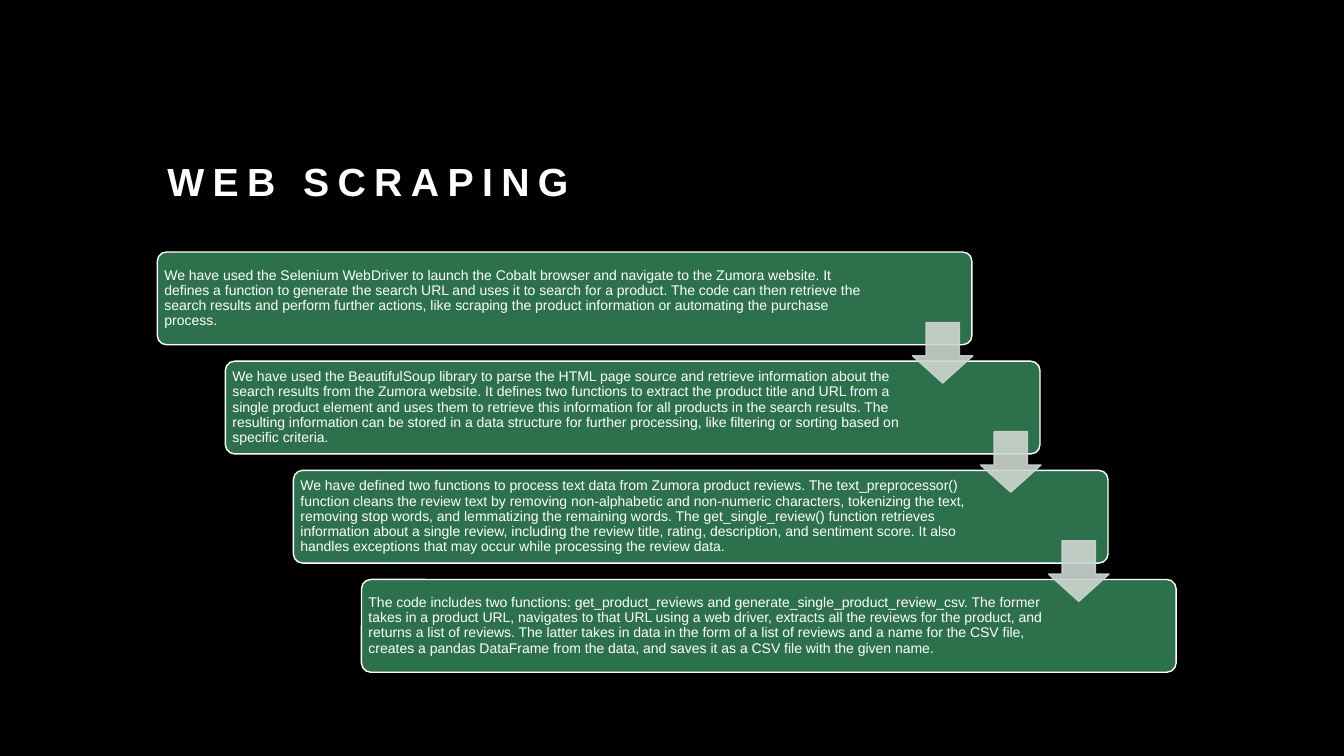
from dataclasses import dataclass

import lxml.etree
import pptx
import pptx.dml.color
import pptx.enum.shapes
import pptx.enum.text
import pptx.oxml.ns
import pptx.util

COLOURS = {"ground": "000000", "card": "2D714C", "arrow": "CDD5D0", "text": "FFFFFF"}
FONT = "Arial"
SLIDE_WIDTH, SLIDE_HEIGHT = 13.33, 7.5

# Staircase grid, in inches
LEFT, TOP = 1.56, 2.5
COLUMN, ROW = 0.675, 1.083
CARD_WIDTH, CARD_HEIGHT = 8.08, 0.92
TEXT_INSET = 0.03
ARROW_SIZE = 0.6
ARROW_LEFT, ARROW_TOP = 7.49, 0.7  # measured from the card's corner


@dataclass(frozen=True)
class Step:
    text: str
    text_width: float = 6.76


STEPS = [
    Step(
        "We have used the Selenium WebDriver to launch the Cobalt browser and navigate to "
        "the Zumora website. It defines a function to generate the search URL and uses it to "
        "search for a product. The code can then retrieve the search results and perform "
        "further actions, like scraping the product information or automating the purchase "
        "process.",
        7.02,
    ),
    Step(
        "We have used the BeautifulSoup library to parse the HTML page source and retrieve "
        "information about the search results from the Zumora website. It defines two "
        "functions to extract the product title and URL from a single product element and "
        "uses them to retrieve this information for all products in the search results. The "
        "resulting information can be stored in a data structure for further processing, "
        "like filtering or sorting based on specific criteria."
    ),
    Step(
        "We have defined two functions to process text data from Zumora product reviews. The "
        "text_preprocessor() function cleans the review text by removing non-alphabetic and "
        "non-numeric characters, tokenizing the text, removing stop words, and lemmatizing "
        "the remaining words. The get_single_review() function retrieves information about a "
        "single review, including the review title, rating, description, and sentiment "
        "score. It also handles exceptions that may occur while processing the review data."
    ),
    Step(
        "The code includes two functions: get_product_reviews and "
        "generate_single_product_review_csv. The former takes in a product URL, navigates to "
        "that URL using a web driver, extracts all the reviews for the product, and returns "
        "a list of reviews. The latter takes in data in the form of a list of reviews and a "
        "name for the CSV file, creates a pandas DataFrame from the data, and saves it as a "
        "CSV file with the given name."
    ),
]


def colour(name: str) -> pptx.dml.color.RGBColor:
    return pptx.dml.color.RGBColor.from_string(COLOURS[name])


def inches(*lengths: float) -> list[pptx.util.Length]:
    return [pptx.util.Inches(length) for length in lengths]


def format_text(frame, size: float, line_spacing: float, bold: bool = False) -> None:
    frame.word_wrap = True
    frame.auto_size = pptx.enum.text.MSO_AUTO_SIZE.NONE
    para = frame.paragraphs[0]
    para.alignment = pptx.enum.text.PP_ALIGN.LEFT
    para.line_spacing = line_spacing
    font = para.runs[0].font
    font.name, font.size, font.bold = FONT, pptx.util.Pt(size), bold
    font.color.rgb = colour("text")


def add_title(page, text: str) -> None:
    title = page.shapes.title
    title.left, title.top, title.width, title.height = inches(LEFT, 1.14, 10.1, 0.94)
    title.text_frame.text = text
    title.text_frame.vertical_anchor = pptx.enum.text.MSO_ANCHOR.BOTTOM
    format_text(title.text_frame, 28, 1.2, bold=True)
    span = title.text_frame.paragraphs[0].runs[0]
    span.font._element.set("spc", "600")


def add_block(page, kind, place: tuple, fill: str, line: str, adjustments: list[float]):
    block = page.shapes.add_shape(kind, *inches(*place))
    block.shadow.inherit = False
    block.fill.solid()
    block.fill.fore_color.rgb = colour(fill)
    block.line.color.rgb = colour(line)
    block.line.width = pptx.util.Pt(1)
    for index, value in enumerate(adjustments):
        block.adjustments[index] = value
    return block


def add_step(page, step: Step, left: float, top: float) -> None:
    add_block(
        page, pptx.enum.shapes.MSO_SHAPE.ROUNDED_RECTANGLE,
        (left, top, CARD_WIDTH, CARD_HEIGHT), "card", "text", [0.1],
    )
    box = page.shapes.add_textbox(*inches(
        left + TEXT_INSET, top + TEXT_INSET, step.text_width, CARD_HEIGHT - 2 * TEXT_INSET
    ))
    frame = box.text_frame
    frame.text = step.text
    frame.vertical_anchor = pptx.enum.text.MSO_ANCHOR.MIDDLE
    frame.margin_left = frame.margin_right = pptx.util.Inches(0.04)
    frame.margin_top = frame.margin_bottom = pptx.util.Inches(0.04)
    format_text(frame, 10, 0.9)


def add_arrow(page, left: float, top: float) -> None:
    arrow = add_block(
        page, pptx.enum.shapes.MSO_SHAPE.DOWN_ARROW,
        (left, top, ARROW_SIZE, ARROW_SIZE), "arrow", "arrow", [0.55, 0.45],
    )
    # Fill and line are both 90% opaque
    for tint in arrow._element.spPr.iter(pptx.oxml.ns.qn("a:srgbClr")):
        lxml.etree.SubElement(tint, pptx.oxml.ns.qn("a:alpha"), val="90000")


def main() -> None:
    deck = pptx.Presentation()
    deck.slide_width, deck.slide_height = inches(SLIDE_WIDTH, SLIDE_HEIGHT)
    page = deck.slides.add_slide(deck.slide_layouts.get_by_name("Title Only"))
    page.background.fill.solid()
    page.background.fill.fore_color.rgb = colour("ground")

    add_title(page, "WEB SCRAPING")
    corners = [(LEFT + i * COLUMN, TOP + i * ROW) for i in range(len(STEPS))]
    for step, (left, top) in zip(STEPS, corners):
        add_step(page, step, left, top)
    for left, top in corners[:-1]:
        add_arrow(page, left + ARROW_LEFT, top + ARROW_TOP)

    deck.save("out.pptx")


if __name__ == "__main__":
    main()
